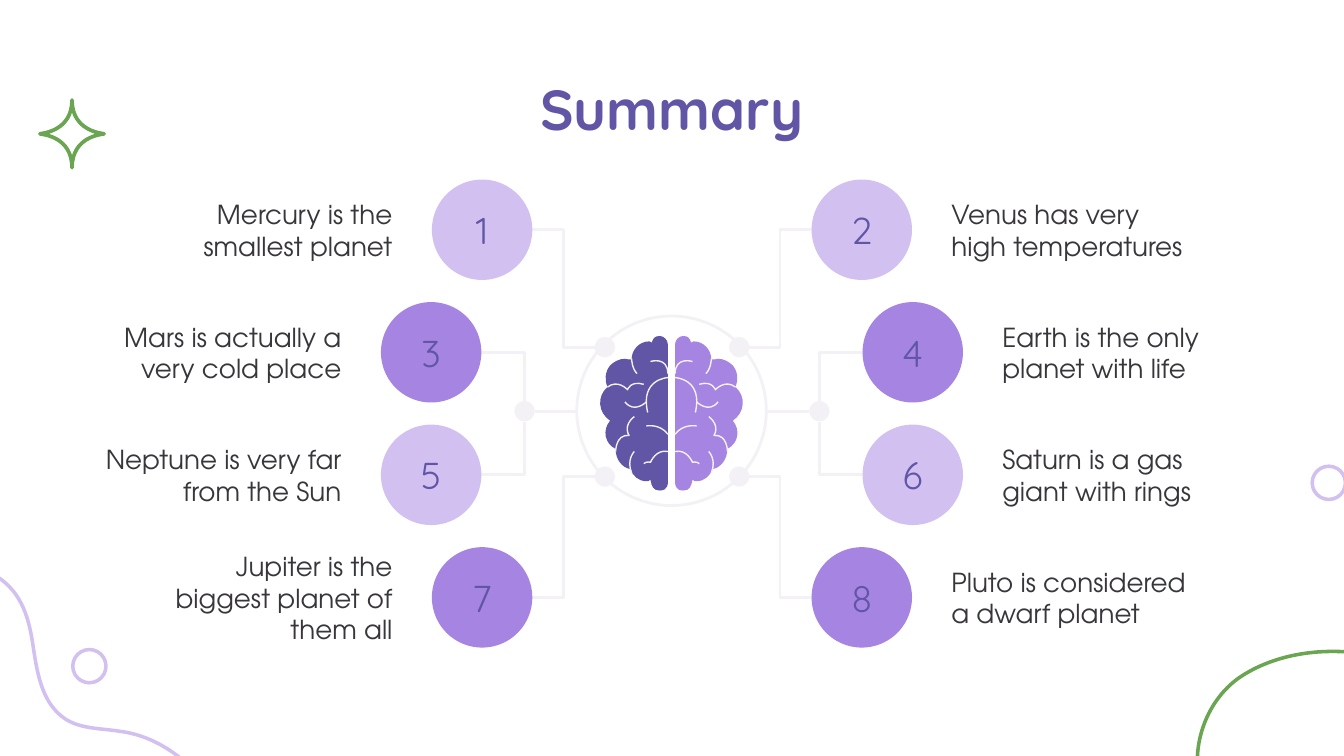
from lxml import etree
from pptx import Presentation
from pptx import util as u
from pptx.dml.color import RGBColor
from pptx.enum import shapes, text
from pptx.oxml.ns import qn

PURPLE, VIOLET, LILAC = "6155A6", "A685E2", "D2C1F0"
PALE, GREEN, INK = "F3F1F5", "6AA551", "38353B"
HEADING, BODY = "Quicksand", "TeX Gyre Adventor"
MIDDLE, BRAIN_MIDDLE = 360, 359.75  # axes of symmetry
DISC, DOT, NUMBER = 53.8, 10.8, 27.6
FIRST_ROW, ROW_STEP = 96.2, 65.65


def color(value):
    return RGBColor.from_string(value)


def mirror(x, width=0, middle=MIDDLE):
    return 2 * middle - x - width


def write(shape, words, font=BODY, size=14, ink=INK, bold=False,
          align=text.PP_ALIGN.LEFT):
    frame = shape.text_frame
    frame.word_wrap = True
    frame.vertical_anchor = text.MSO_ANCHOR.MIDDLE
    frame.margin_left = frame.margin_right = u.Pt(7.2)
    frame.margin_top = frame.margin_bottom = u.Pt(7.2)
    para = frame.paragraphs[0]
    para.alignment = align
    span = para.add_run()
    span.text = words
    span.font.name, span.font.size, span.font.bold = font, u.Pt(size), bold
    span.font.color.rgb = color(ink)


class Page:
    def __init__(self, deck):
        self.slide = deck.slides.add_slide(deck.slide_layouts[5])
        self.shapes = self.slide.shapes

    def paint(self, shape, fill=None, line=None, weight=1.5):
        shape.shadow.inherit = False
        if fill:
            shape.fill.solid()
            shape.fill.fore_color.rgb = color(fill)
        else:
            shape.fill.background()
        if line:
            shape.line.color.rgb = color(line)
            shape.line.width = u.Pt(weight)
        else:
            shape.line.fill.background()
        return shape

    def title(self, words, left, top, width, height, **style):
        box = self.shapes.title
        box.left, box.top, box.width, box.height = map(u.Pt, (left, top, width, height))
        write(box, words, **style)

    def label(self, words, left, top, width, height, **style):
        box = self.shapes.add_textbox(*map(u.Pt, (left, top, width, height)))
        write(box, words, **style)

    def circle(self, left, top, size, **look):
        disc = self.shapes.add_shape(shapes.MSO_SHAPE.OVAL,
                                     *map(u.Pt, (left, top, size, size)))
        return self.paint(disc, **look)

    def curve(self, points, close=False, **look):
        """Draw a start point followed by triples of Bezier points."""
        corners = [(u.Pt(x), u.Pt(y)) for x, y in points]
        builder = self.shapes.build_freeform(*corners[0])
        builder.add_line_segments(corners[1:], close=close)
        outline = builder.convert_to_shape()
        # Join every three straight segments into one Bezier segment
        segments = list(outline._element.iter(qn("a:lnTo")))
        for i in range(0, len(points) - 1, 3):
            bezier = etree.Element(qn("a:cubicBezTo"))
            segments[i].addprevious(bezier)
            for segment in segments[i:i + 3]:
                bezier.append(segment[0])
                segment.getparent().remove(segment)
        return self.paint(outline, **look)

    def connector(self, start, end, preset="bentConnector3"):
        link = self.shapes.add_connector(shapes.MSO_CONNECTOR.ELBOW,
                                         *map(u.Pt, (*start, *end)))
        link.line.color.rgb = color(PALE)
        link.line.width = u.Pt(1.5)
        properties = link._element.spPr
        properties.find(qn("a:prstGeom")).set("prst", preset)
        etree.SubElement(properties, qn("a:effectLst"))


LOBE = [
    (353.5, 180), (350.6, 180), (349.9, 181.4), (349.2, 183.6),
    (348.5, 182.9), (347.8, 182.9), (347.8, 182.9),
    (342.7, 182.9), (338.4, 187.2), (338.4, 192.6),
    (337, 193), (336.2, 192.2), (334.8, 192.2),
    (331.9, 192.2), (329, 193.7), (326.9, 195.8),
    (324, 199.4), (324, 203.8), (325.4, 207.4),
    (319.7, 212.4), (320.4, 221), (326.9, 225.4),
    (322.6, 230.4), (324, 237.6), (329.8, 240.5),
    (329.8, 246.2), (333.4, 250.6), (337.7, 251.3),
    (339.1, 254.9), (342, 257.8), (346.3, 257.8),
    (347, 257.8), (347.8, 257.8), (348.5, 257),
    (349.2, 260.6), (349.9, 262.8), (353.5, 262.8),
    (358.2, 262.8), (357.8, 258.5), (357.8, 258.5),
    (357.8, 258.5), (357.8, 184.3), (357.8, 184.3),
    (357.8, 182.2), (355.7, 180), (353.5, 180),
]
FOLDS = [
    [(357.8, 202.3), (357.8, 202.3), (342.7, 203), (347, 221)],
    [(348.5, 193.7), (348.5, 193.7), (357.8, 190.8), (357.8, 200.2)],
    [(338.4, 192.2), (338.4, 192.2), (338.4, 197.3), (341.3, 200.2)],
    [(325.4, 207.4), (331.2, 203), (336.2, 208.8), (336.2, 208.8),
     (336.2, 208.8), (337.7, 203.8), (344.9, 205.9)],
    [(329.8, 241.9), (329.8, 241.9), (329.8, 232.6), (337, 233.3),
     (337, 233.3), (333.4, 228.2), (339.8, 223.2)],
    [(339.8, 241.9), (339.8, 241.9), (335.5, 246.2), (338.4, 253.4)],
    [(357.8, 241.9), (351.4, 240.5), (348.5, 247.7), (348.5, 247.7),
     (348.5, 247.7), (346.3, 247), (344.9, 248.4)],
    [(346.3, 215.3), (346.3, 215.3), (339.8, 221.8), (334.8, 215.3)],
    [(346.3, 228.2), (346.3, 228.2), (353.5, 226.8), (357.8, 232.6)],
]
WAVE = [
    (-1.4, 309), (12.2, 318), (15.8, 331.9), (18, 347.8),
    (20.2, 362.2), (23, 377.6), (35.6, 385.6),
    (42, 389.5), (50, 390.2), (58, 391),
    (61.2, 391.4), (64.8, 391.8), (68, 392.4),
    (78, 394.4), (87.5, 398.9), (96.5, 406),
]
ARC = [
    (641.5, 409), (641, 392), (649, 373.5), (664, 363),
    (678, 353.5), (696, 349), (713.5, 349),
    (716, 349), (718, 349), (721.4, 349.2),
]
STAR = [
    (38.6, 53.6), (38.6, 70), (54, 71.4), (55.8, 71.7),
    (54, 72), (38.6, 73.4), (38.6, 89.8),
    (38.6, 73.4), (23.2, 72), (21.4, 71.7),
    (23.2, 71.4), (38.6, 70), (38.6, 53.6),
]
FACTS = [
    ("Mercury is the smallest planet", "Venus has very high temperatures"),
    ("Mars is actually a very cold place", "Earth is the only planet with life"),
    ("Neptune is very far from the Sun", "Saturn is a gas giant with rings"),
    ("Jupiter is the biggest planet of them all", "Pluto is considered a dwarf planet"),
]
DISC_LEFT = [231.4, 204.1, 204.1, 231.4]


def main():
    deck = Presentation()
    deck.slide_width, deck.slide_height = u.Pt(720), u.Pt(405)
    page = Page(deck)

    # Decorations at the edges
    for left, top in ((39, 348), (703, 249.8)):
        page.circle(left, top, 17.8, line=LILAC, weight=1.9)
    page.curve(STAR, close=True, line=GREEN, weight=2)
    page.curve(WAVE, line=LILAC, weight=1.9)
    page.curve(ARC, line=GREEN, weight=1.9)

    page.title("Summary", 57.6, 36, 604.8, 43.2, font=HEADING, size=30.2,
               ink=PURPLE, bold=True, align=text.PP_ALIGN.CENTER)

    # Brain in its ring
    page.circle(309, 169.3, 101.5, line=PALE)
    for is_right, fill in ((False, PURPLE), (True, VIOLET)):
        def place(points):
            return [(mirror(x, middle=BRAIN_MIDDLE) if is_right else x, y)
                    for x, y in points]
        page.curve(place(LOBE), close=True, fill=fill)
        for fold in FOLDS:
            page.curve(place(fold), line=PALE, weight=0.75)

    # Links from the discs to the ring, on both sides
    centers = [FIRST_ROW + row * ROW_STEP + DISC / 2 for row in range(4)]
    outer, inner = DISC_LEFT[0] + DISC, DISC_LEFT[1] + DISC
    links = [
        ((319, 186), (outer, centers[0]), "bentConnector3"),
        ((inner, centers[1]), (281, 215), "bentConnector2"),
        ((inner, centers[2]), (281, 226), "bentConnector2"),
        ((286.4, 220.3), (309, 220.3), "line"),
        ((319, 255.3), (outer, centers[3]), "bentConnector3"),
    ]
    for start, end, preset in links:
        page.connector(start, end, preset)
        page.connector((mirror(start[0]), start[1]), (mirror(end[0]), end[1]), preset)
    for x, y in ((324, 186), (281, 220.3), (324, 255.3)):
        for center in (x, mirror(x)):
            page.circle(center - DOT / 2, y - DOT / 2, DOT, fill=PALE)

    # Numbered discs and their facts
    for row, pair in enumerate(FACTS):
        top = FIRST_ROW + row * ROW_STEP
        left, right = DISC_LEFT[row], mirror(DISC_LEFT[row], DISC)
        for side, x in enumerate((left, right)):
            page.circle(x, top, DISC, fill=(LILAC, VIOLET)[row % 2])
            gap = (DISC - NUMBER) / 2
            page.label(str(2 * row + side + 1), x + gap, top + gap, NUMBER, NUMBER,
                       font=HEADING, size=20, ink=PURPLE, align=text.PP_ALIGN.CENTER)
        page.label(pair[0], left - 158, top + 1.8, 144, 50.4, align=text.PP_ALIGN.RIGHT)
        page.label(pair[1], right + 67.8, top + 1.8, 144, 50.4)

    deck.save("out.pptx")


if __name__ == "__main__":
    main()
